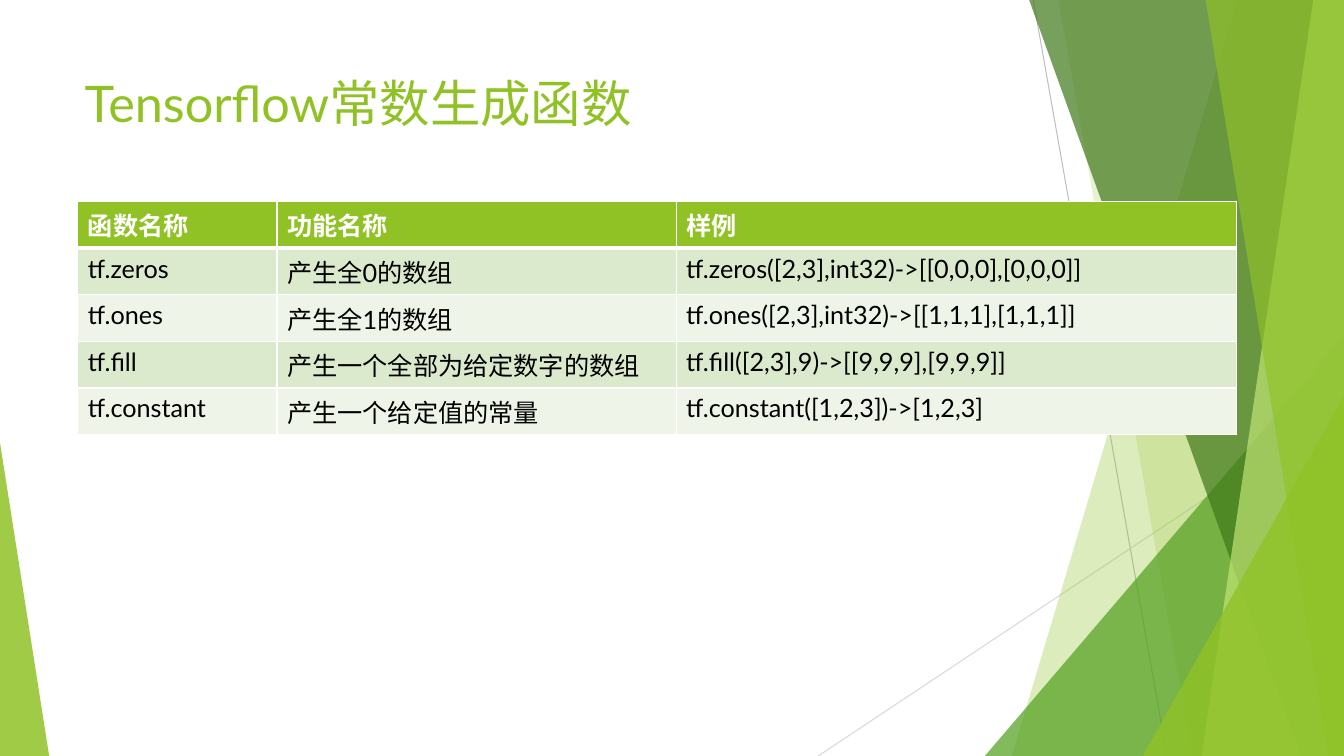
from lxml.etree import SubElement
from pptx import Presentation
from pptx.dml.color import RGBColor
from pptx.enum.shapes import MSO_CONNECTOR, MSO_SHAPE
from pptx.enum.text import MSO_ANCHOR, MSO_AUTO_SIZE, PP_ALIGN
from pptx.oxml.ns import qn
from pptx.util import Cm, Pt

LIME = RGBColor(0x90, 0xC2, 0x26)
GREEN = RGBColor(0x54, 0xA0, 0x21)
FOREST = RGBColor(0x3F, 0x78, 0x19)
PALE_LIME = RGBColor(0xC0, 0xE4, 0x74)
BAND_DARK = RGBColor(0xDB, 0xE9, 0xCD)
BAND_LIGHT = RGBColor(0xEE, 0xF4, 0xE8)
GREY = RGBColor(0xBF, 0xBF, 0xBF)
LIGHT_GREY = RGBColor(0xD9, 0xD9, 0xD9)
WHITE = RGBColor(0xFF, 0xFF, 0xFF)
BLACK = RGBColor(0, 0, 0)
FONT = "Lato"
WIDTH, HEIGHT = 33.87, 19.05


def paint(facet, color, opacity):
    facet.shadow.inherit = False
    facet.line.fill.background()
    facet.fill.solid()
    facet.fill.fore_color.rgb = color
    srgb = facet._element.spPr.find(qn("a:solidFill")).find(qn("a:srgbClr"))
    SubElement(srgb, qn("a:alpha"), val=str(opacity * 1000))


def add_border(cell, side, points):
    border = SubElement(cell._tc.get_or_add_tcPr(), qn("a:" + side), w=str(Pt(points)))
    SubElement(SubElement(border, qn("a:solidFill")), qn("a:srgbClr"), val=str(WHITE))


prs = Presentation()
prs.slide_width, prs.slide_height = Cm(WIDTH), Cm(HEIGHT)
slide = prs.slides.add_slide(prs.slide_layouts[5])
shapes = slide.shapes

rays = [
    (26.04, 0, 29.41, HEIGHT, GREY),
    (WIDTH, 10.24, 20.62, HEIGHT, LIGHT_GREY),
]
for x1, y1, x2, y2, color in rays:
    ray = shapes.add_connector(MSO_CONNECTOR.STRAIGHT, Cm(x1), Cm(y1), Cm(x2), Cm(y2))
    ray.line.color.rgb = color
    ray.line.width = Pt(0.75)
    SubElement(ray._element.spPr, qn("a:effectLst"))

facets = [
    ("band", 31.19, 25.5, LIME, 30),
    ("band", 26.67, 30.05, LIME, 20),
    ("corner", 24.82, 8.46, GREEN, 72),
    ("band", 25.93, 32.79, FOREST, 70),
    ("band", 33.1, 30.28, PALE_LIME, 70),
    ("band", 30.38, 33.48, LIME, 65),
    ("corner", 28.8, 9.98, LIME, 80),
]
for kind, first, second, color, opacity in facets:
    if kind == "band":
        outline = shapes.build_freeform(Cm(first), Cm(-0.02))
        outline.add_line_segments([
            (Cm(WIDTH), Cm(-0.02)), (Cm(WIDTH), Cm(HEIGHT)), (Cm(second), Cm(HEIGHT))])
        facet = outline.convert_to_shape()
    else:
        facet = shapes.add_shape(MSO_SHAPE.ISOSCELES_TRIANGLE, Cm(first), Cm(second),
                                 Cm(WIDTH - first), Cm(HEIGHT - second))
        facet.adjustments[0] = 1
    paint(facet, color, opacity)

left_corner = shapes.add_shape(MSO_SHAPE.ISOSCELES_TRIANGLE, 0, Cm(11.15), Cm(1.24), Cm(7.9))
left_corner.adjustments[0] = 0
paint(left_corner, LIME, 85)

title = shapes.title
shapes._spTree.append(title._element)
title.left, title.top, title.width, title.height = Cm(1.88), Cm(1.7), Cm(23.88), Cm(3.66)
title.text_frame.text = "Tensorflow常数生成函数"
title.text_frame.auto_size = MSO_AUTO_SIZE.NONE
title.text_frame.vertical_anchor = MSO_ANCHOR.TOP
heading = title.text_frame.paragraphs[0]
heading.alignment = PP_ALIGN.LEFT
heading.font.name = FONT
heading.font.size = Pt(36)
heading.font.color.rgb = LIME

functions = [
    ("函数名称", "功能名称", "样例"),
    ("tf.zeros", "产生全0的数组", "tf.zeros([2,3],int32)->[[0,0,0],[0,0,0]]"),
    ("tf.ones", "产生全1的数组", "tf.ones([2,3],int32)->[[1,1,1],[1,1,1]]"),
    ("tf.fill", "产生一个全部为给定数字的数组", "tf.fill([2,3],9)->[[9,9,9],[9,9,9]]"),
    ("tf.constant", "产生一个给定值的常量", "tf.constant([1,2,3])->[1,2,3]"),
]
column_widths = [5.02, 10.06, 14.13]
row_height = 1.03
table = shapes.add_table(len(functions), len(column_widths), Cm(1.96), Cm(5.08),
                         Cm(sum(column_widths)), Cm(row_height * len(functions))).table
for column, width in zip(table.columns, column_widths):
    column.width = Cm(width)

for r, entries in enumerate(functions):
    table.rows[r].height = Cm(row_height)
    is_header = r == 0
    for c, entry in enumerate(entries):
        cell = table.cell(r, c)
        for side in ("lnL", "lnR", "lnT", "lnB"):
            under_header = (r, side) in ((0, "lnB"), (1, "lnT"))
            add_border(cell, side, 3 if under_header else 1)
        cell.fill.solid()
        cell.fill.fore_color.rgb = LIME if is_header else (BAND_LIGHT, BAND_DARK)[r % 2]
        cell.text = entry
        font = cell.text_frame.paragraphs[0].font
        font.name = FONT
        font.size = Pt(18)
        font.bold = is_header
        font.color.rgb = WHITE if is_header else BLACK

prs.save("out.pptx")
